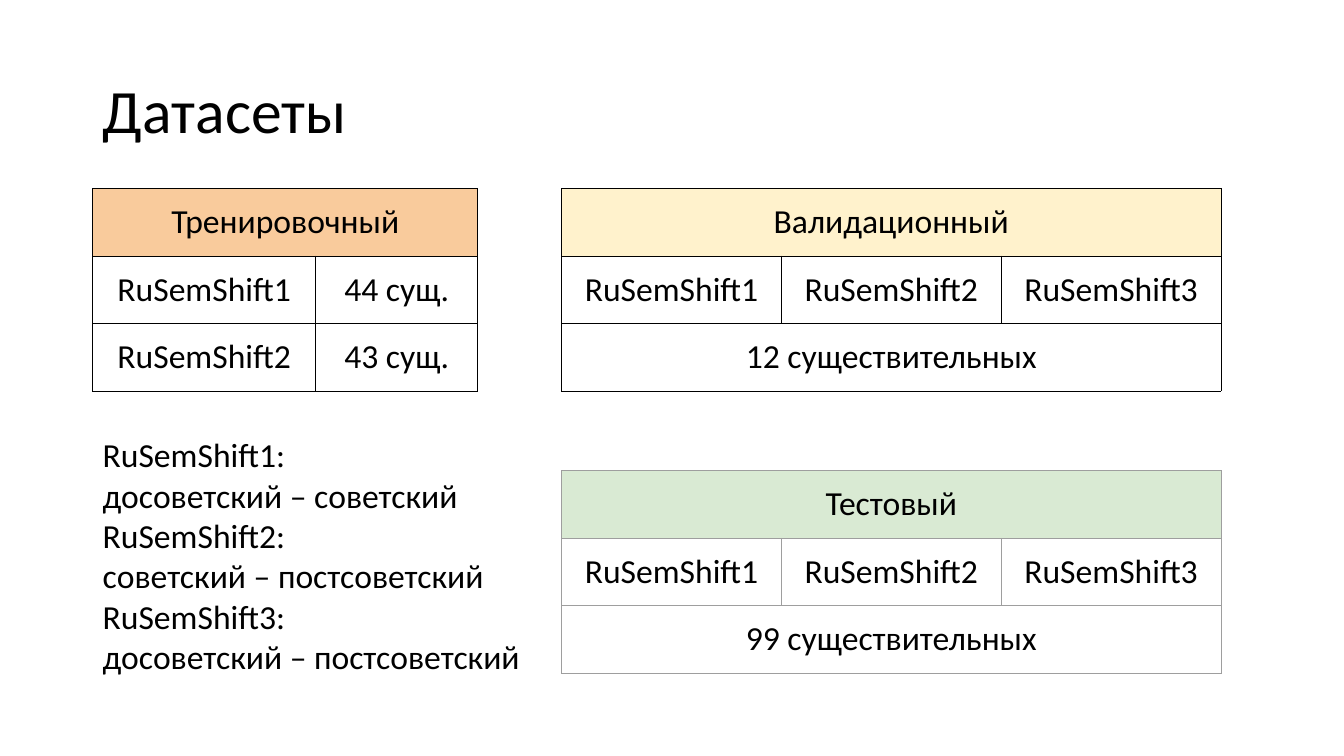
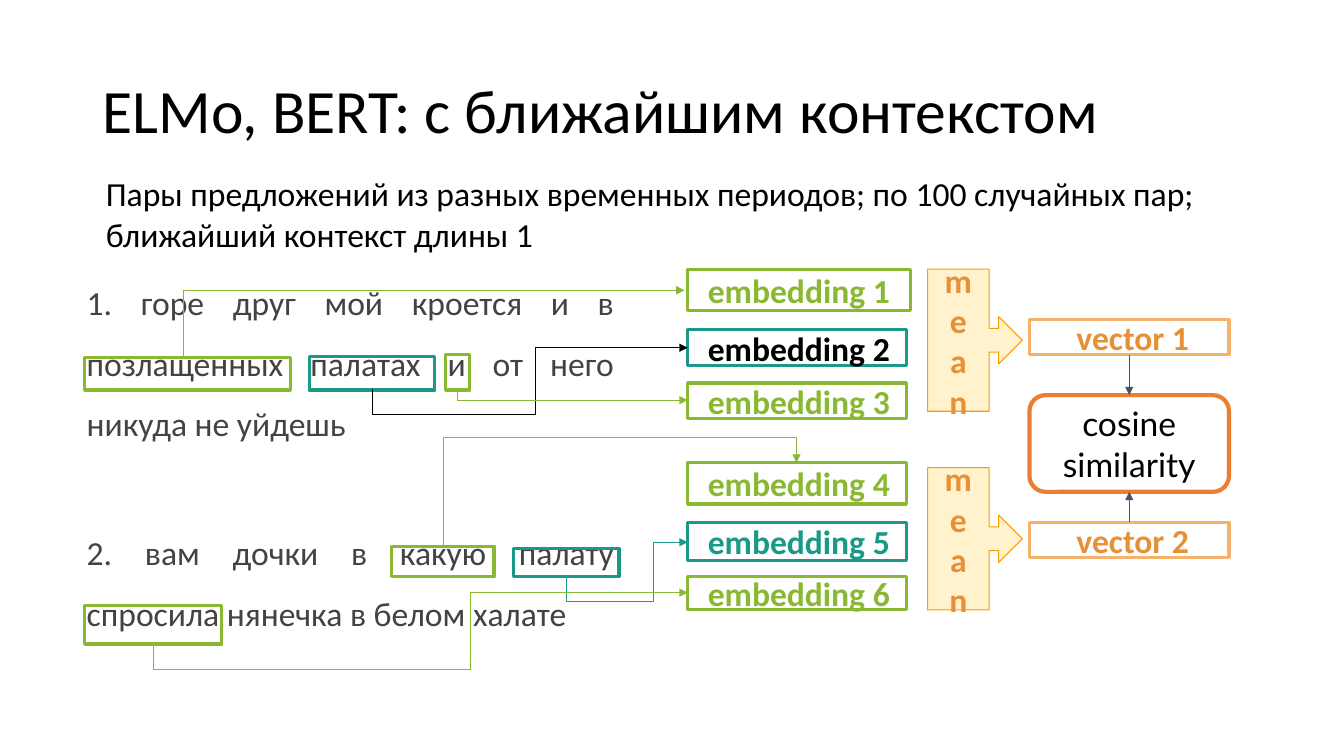
from lxml import etree
from pptx import Presentation
from pptx.dml.color import RGBColor
from pptx.enum import shapes, text
from pptx.oxml.ns import qn
from pptx.util import Inches, Pt

BLACK = RGBColor(0x00, 0x00, 0x00)
DARK_GREY = RGBColor(0x43, 0x43, 0x43)
MID_GREY = RGBColor(0x9E, 0x9E, 0x9E)
SLATE = RGBColor(0x44, 0x54, 0x6A)
GREEN = RGBColor(0x8A, 0xB8, 0x33)
TEAL = RGBColor(0x1A, 0x99, 0x88)
ORANGE = RGBColor(0xE6, 0x91, 0x38)
LIGHT_ORANGE = RGBColor(0xF6, 0xB2, 0x6B)
BRIGHT_ORANGE = RGBColor(0xFF, 0x99, 0x00)
DEEP_ORANGE = RGBColor(0xED, 0x7D, 0x31)
PEACH = RGBColor(0xF9, 0xCB, 0x9C)
CREAM = RGBColor(0xFF, 0xF2, 0xCC)
MINT = RGBColor(0xD9, 0xEA, 0xD3)

LEFT, CENTER = text.PP_ALIGN.LEFT, text.PP_ALIGN.CENTER
JUSTIFY = text.PP_ALIGN.JUSTIFY
MIDDLE, TOP = text.MSO_ANCHOR.MIDDLE, text.MSO_ANCHOR.TOP
RECT = shapes.MSO_SHAPE.RECTANGLE
INSET = 0.13


class Deck:
    font = "Calibri"
    title_size = 44
    body_size = 24

    def __init__(self):
        self.prs = Presentation()
        self.prs.slide_width = Inches(13.33)
        self.prs.slide_height = Inches(7.5)
        self.slide = None

    def new_slide(self, heading):
        self.slide = self.prs.slides.add_slide(self.prs.slide_layouts[5])
        title = self.slide.shapes.title
        title.left, title.top, title.width, title.height = map(Inches, (0.92, 0.4, 11.5, 1.45))
        self.set_text(title.text_frame, [heading], size=self.title_size, anchor=MIDDLE,
                      insets=(0.1, 0.05, 0.1, 0.05), spacing=0.9)

    def set_text(self, frame, paragraphs, color=BLACK, bold=False, size=body_size, font=font,
                 align=LEFT, anchor=TOP, insets=(INSET,) * 4, spacing=None, gap=0):
        """Fill a frame; gap is the space in points between paragraphs."""
        frame.word_wrap = True
        frame.auto_size = text.MSO_AUTO_SIZE.NONE
        frame.vertical_anchor = anchor
        (frame.margin_left, frame.margin_top,
         frame.margin_right, frame.margin_bottom) = map(Inches, insets)
        for index, words in enumerate(paragraphs):
            paragraph = frame.add_paragraph() if index else frame.paragraphs[0]
            paragraph.alignment = align
            if spacing:
                paragraph.line_spacing = spacing
            if index and gap:
                paragraph.space_before = Pt(gap)
            run = paragraph.add_run()
            run.text = words
            run.font.name, run.font.size = font, Pt(size)
            run.font.bold, run.font.color.rgb = bold, color

    def text_box(self, box, paragraphs, **style):
        area = self.slide.shapes.add_textbox(*map(Inches, box))
        self.set_text(area.text_frame, paragraphs, **style)

    def shape(self, kind, box, outline, paragraphs=(), weight=2.25, fill=None, **style):
        item = self.slide.shapes.add_shape(kind, *map(Inches, box))
        item.shadow.inherit = False
        if fill is None:
            item.fill.background()
        else:
            item.fill.solid()
            item.fill.fore_color.rgb = fill
        item.line.color.rgb = outline
        item.line.width = Pt(weight)
        if paragraphs:
            self.set_text(item.text_frame, paragraphs, anchor=MIDDLE, **style)

    def label(self, box, outline, words, color, align=LEFT):
        self.shape(RECT, box, outline, [words], color=color, bold=True, align=align,
                   insets=(0.2, INSET, INSET, INSET))

    def arrow(self, start, end, color, kind=shapes.MSO_CONNECTOR.STRAIGHT):
        line = self.slide.shapes.add_connector(kind, *map(Inches, start + end))
        line.line.color.rgb = color
        line.line.width = Pt(0.75)
        properties = line.element.spPr
        etree.SubElement(properties.find(qn("a:ln")), qn("a:tailEnd"), type="triangle")
        etree.SubElement(properties, qn("a:effectLst"))
        return line

    def elbow(self, start, end, color, bend_y=None, bend_x=None):
        """Arrow leaving vertically and going right, turning at bend_y, then at bend_x."""
        line = self.arrow(start, end, color, shapes.MSO_CONNECTOR.ELBOW)
        (x0, y0), (x1, y1) = start, end
        run, rise = x1 - x0, abs(y1 - y0)
        line.left = Inches((x0 + x1 - rise) / 2)
        line.top = Inches((y0 + y1 - run) / 2)
        line.width, line.height = Inches(rise), Inches(run)

        upward = y1 < y0
        frame = line.element.spPr.find(qn("a:xfrm"))
        frame.set("rot", str((90 if upward else 270) * 60000))
        frame.set("flipH", "1")
        frame.set("flipV", "1" if upward else "0")

        bends = []
        if bend_y is not None:
            bends.append((bend_y - y0) / (y1 - y0))
        if bend_x is not None:
            bends.append((bend_x - x0) / run)
        geometry = line.element.spPr.find(qn("a:prstGeom"))
        geometry.set("prst", f"bentConnector{2 + len(bends)}")
        guides = geometry.find(qn("a:avLst"))
        for number, bend in enumerate(bends, 1):
            etree.SubElement(guides, qn("a:gd"), name=f"adj{number}",
                             fmla=f"val {round(bend * 100000)}")

    def table(self, left, top, widths, rows, header_fill, border):
        """Grid with a filled first row; a row with one entry spans all columns."""
        row_height = 0.67
        grid = self.slide.shapes.add_table(
            len(rows), len(widths), Inches(left), Inches(top),
            Inches(sum(widths)), Inches(row_height * len(rows))).table
        grid.first_row = grid.horz_banding = False
        for column, width in zip(grid.columns, widths):
            column.width = Inches(width)
        for r, entries in enumerate(rows):
            grid.rows[r].height = Inches(row_height)
            for c in range(len(widths)):
                self.cell_style(grid.cell(r, c), None if r else header_fill, border)
            if len(entries) == 1:
                grid.cell(r, 0).merge(grid.cell(r, len(widths) - 1))
            for c, words in enumerate(entries):
                cell = grid.cell(r, c)
                cell.margin_left = cell.margin_right = Inches(INSET)
                cell.margin_top = cell.margin_bottom = Inches(INSET)
                paragraph = cell.text_frame.paragraphs[0]
                paragraph.alignment = CENTER
                run = paragraph.add_run()
                run.text = words
                run.font.name, run.font.size = self.font, Pt(self.body_size)
                run.font.color.rgb = BLACK

    def cell_style(self, cell, fill, border):
        properties = cell._tc.get_or_add_tcPr()
        for side in ("lnL", "lnR", "lnT", "lnB"):
            line = etree.SubElement(properties, qn(f"a:{side}"), w=str(Pt(0.75)))
            solid = etree.SubElement(line, qn("a:solidFill"))
            etree.SubElement(solid, qn("a:srgbClr"), val=str(border))
        if fill is None:
            cell.fill.background()
        else:
            cell.fill.solid()
            cell.fill.fore_color.rgb = fill


def datasets(deck):
    deck.new_slide("Датасеты")
    corpora = ["RuSemShift1", "RuSemShift2", "RuSemShift3"]
    deck.table(0.92, 1.87, [2.21, 1.61],
               [["Тренировочный"], [corpora[0], "44 сущ."], [corpora[1], "43 сущ."]],
               PEACH, BLACK)
    for top, name, count, fill, border in (
            (1.87, "Валидационный", 12, CREAM, BLACK),
            (4.67, "Тестовый", 99, MINT, MID_GREY)):
        deck.table(5.57, top, [2.18] * 3, [[name], corpora, [f"{count} существительных"]],
                   fill, border)
    periods = ["досоветский – советский", "советский – постсоветский",
               "досоветский – постсоветский"]
    legend = [line for corpus, period in zip(corpora, periods)
              for line in (f"{corpus}:", period)]
    deck.text_box((0.92, 4.26, 4.35, 2.52), legend, insets=(0.1, 0.05, 0.1, 0.05))


def nearest_context(deck):
    deck.new_slide("ELMo, BERT: с ближайшим контекстом")
    deck.text_box((0.73, 2.47, 5.49, 3.71),
                  ["1. горе друг мой кроется и в позлащенных палатах и от него никуда не уйдешь",
                   "2. вам дочки в какую палату спросила нянечка в белом халате"],
                  color=DARK_GREY, align=JUSTIFY, spacing=1.5, gap=49)
    deck.text_box((0.92, 1.59, 11.61, 1.08),
                  ["Пары предложений из разных временных периодов; по 100 случайных пар; "
                   "ближайший контекст длины 1"])

    word_frames = [
        ((3.07, 3.54, 1.24, 0.33), TEAL), ((5.09, 5.44, 1.05, 0.28), TEAL),
        ((0.84, 3.55, 2.04, 0.32), GREEN), ((4.42, 3.52, 0.24, 0.35), GREEN),
        ((3.88, 5.42, 1.02, 0.3), GREEN), ((0.84, 6.01, 1.36, 0.38), GREEN)]
    for box, color in word_frames:
        deck.shape(RECT, box, color)

    embeddings = [
        (2.67, 2.21, 0.41, GREEN, GREEN), (3.27, 2.17, 0.36, TEAL, BLACK),
        (3.8, 2.17, 0.35, GREEN, GREEN), (4.59, 2.17, 0.41, GREEN, GREEN),
        (5.18, 2.17, 0.38, TEAL, TEAL), (5.72, 2.17, 0.33, GREEN, GREEN)]
    for number, (top, width, height, outline, color) in enumerate(embeddings, 1):
        deck.label((6.82, top, width, height), outline, f"embedding {number}", color)

    deck.elbow((1.82, 3.55), (6.79, 2.88), GREEN)
    deck.elbow((3.69, 3.86), (6.82, 3.45), BLACK, 4.11, 5.31)
    deck.elbow((4.54, 3.86), (6.82, 3.97), GREEN)
    deck.elbow((4.4, 5.42), (7.9, 4.59), GREEN, 4.34)
    deck.elbow((5.62, 5.72), (6.82, 5.38), TEAL, 5.97, 6.48)
    deck.elbow((1.52, 6.39), (6.82, 5.88), GREEN, 6.64, 4.67)

    for number, mean_top, vector_top in ((1, 2.67, 3.17), (2, 4.64, 5.18)):
        deck.shape(shapes.MSO_SHAPE.RIGHT_ARROW_CALLOUT, (9.2, mean_top, 0.94, 1.41),
                   BRIGHT_ORANGE, list("mean"), weight=0.75, fill=CREAM,
                   color=ORANGE, bold=True, align=CENTER)
        deck.label((10.21, vector_top, 1.98, 0.35), LIGHT_ORANGE, f"vector {number}",
                   ORANGE, CENTER)
    deck.shape(shapes.MSO_SHAPE.ROUNDED_RECTANGLE, (10.21, 3.92, 1.98, 0.96), DEEP_ORANGE,
               ["cosine similarity"], weight=3, font="Lato", align=CENTER)
    deck.arrow((11.2, 3.52), (11.2, 3.92), SLATE)
    deck.arrow((11.2, 5.18), (11.2, 4.88), SLATE)


def main():
    deck = Deck()
    datasets(deck)
    nearest_context(deck)
    deck.prs.save("out.pptx")


if __name__ == "__main__":
    main()
